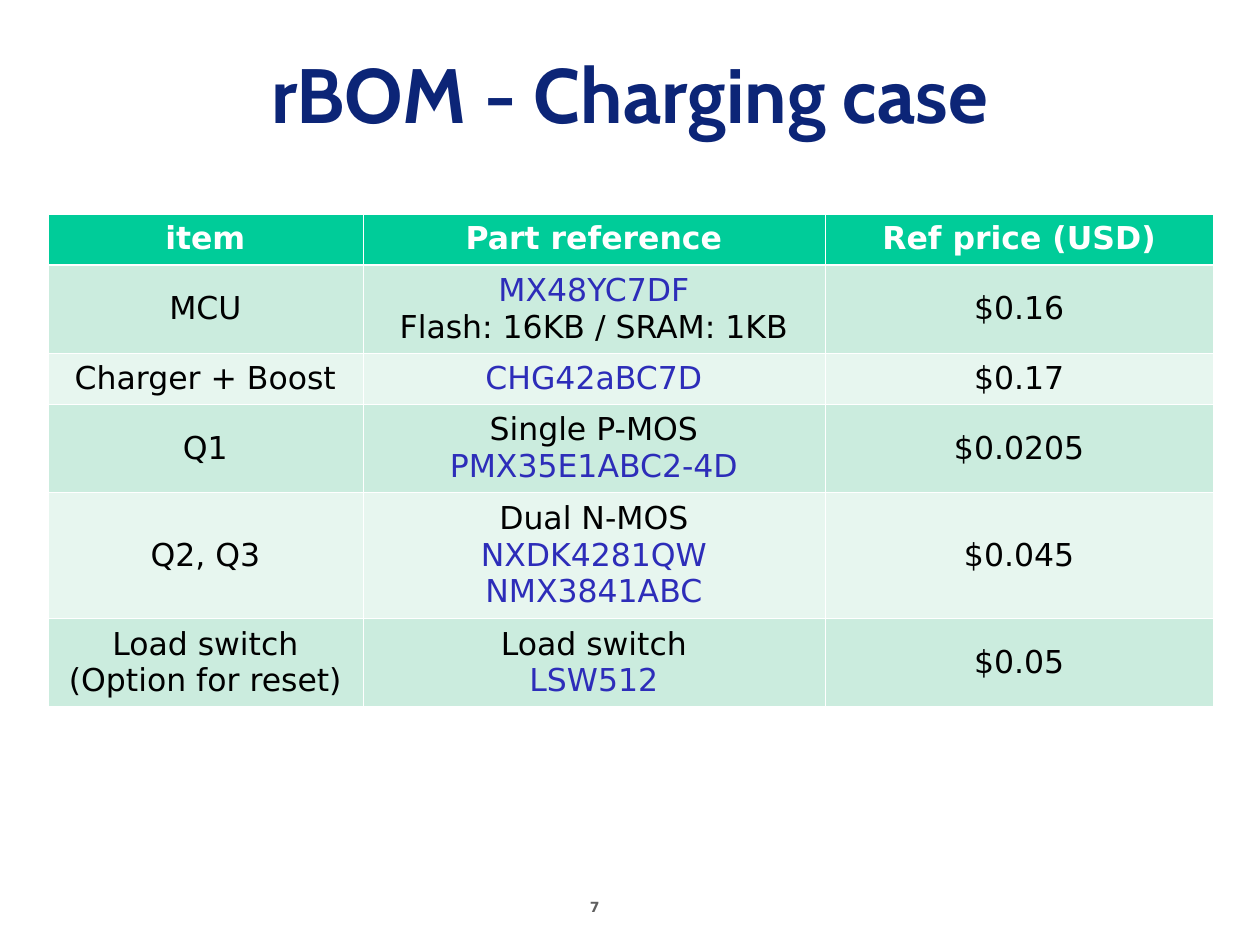
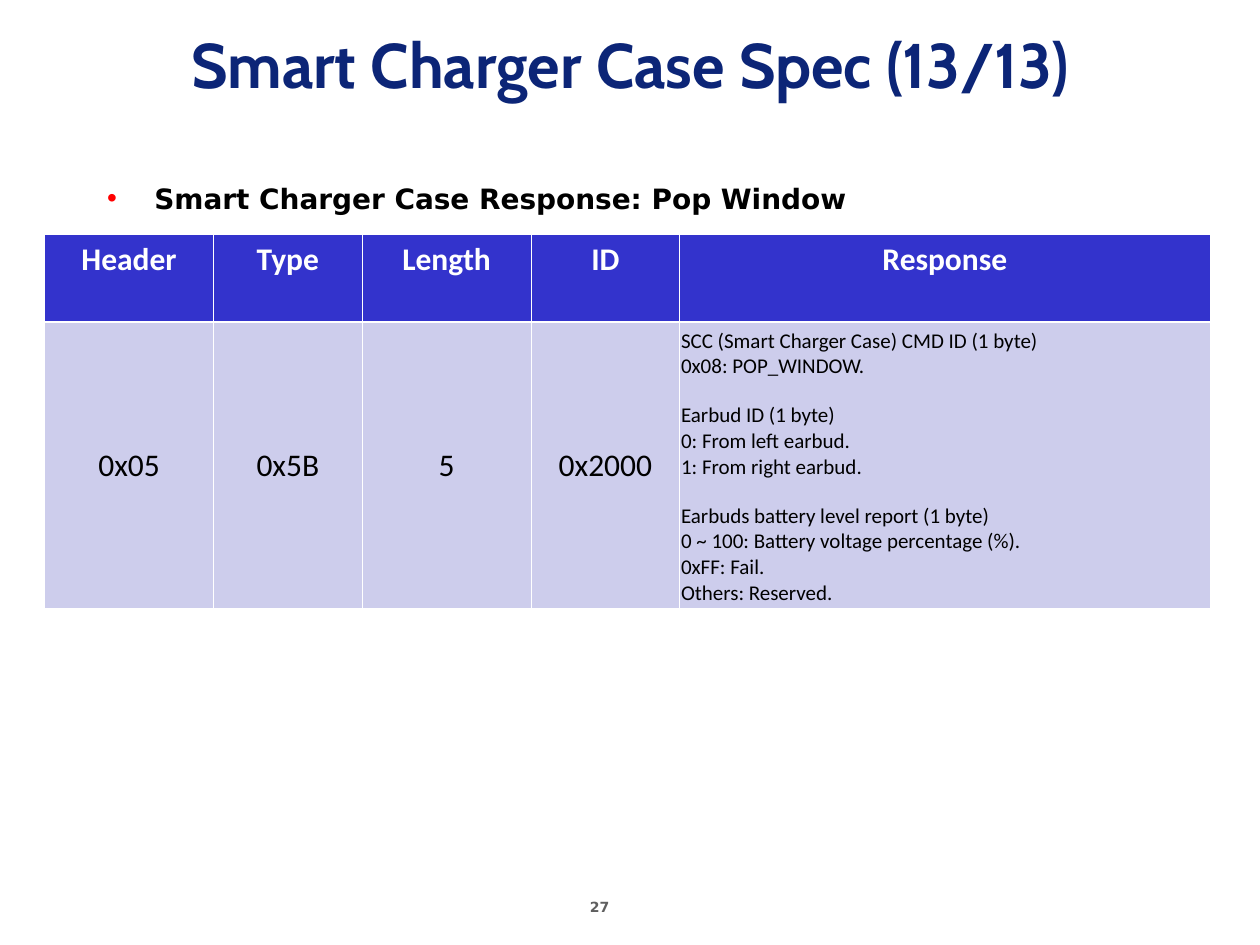
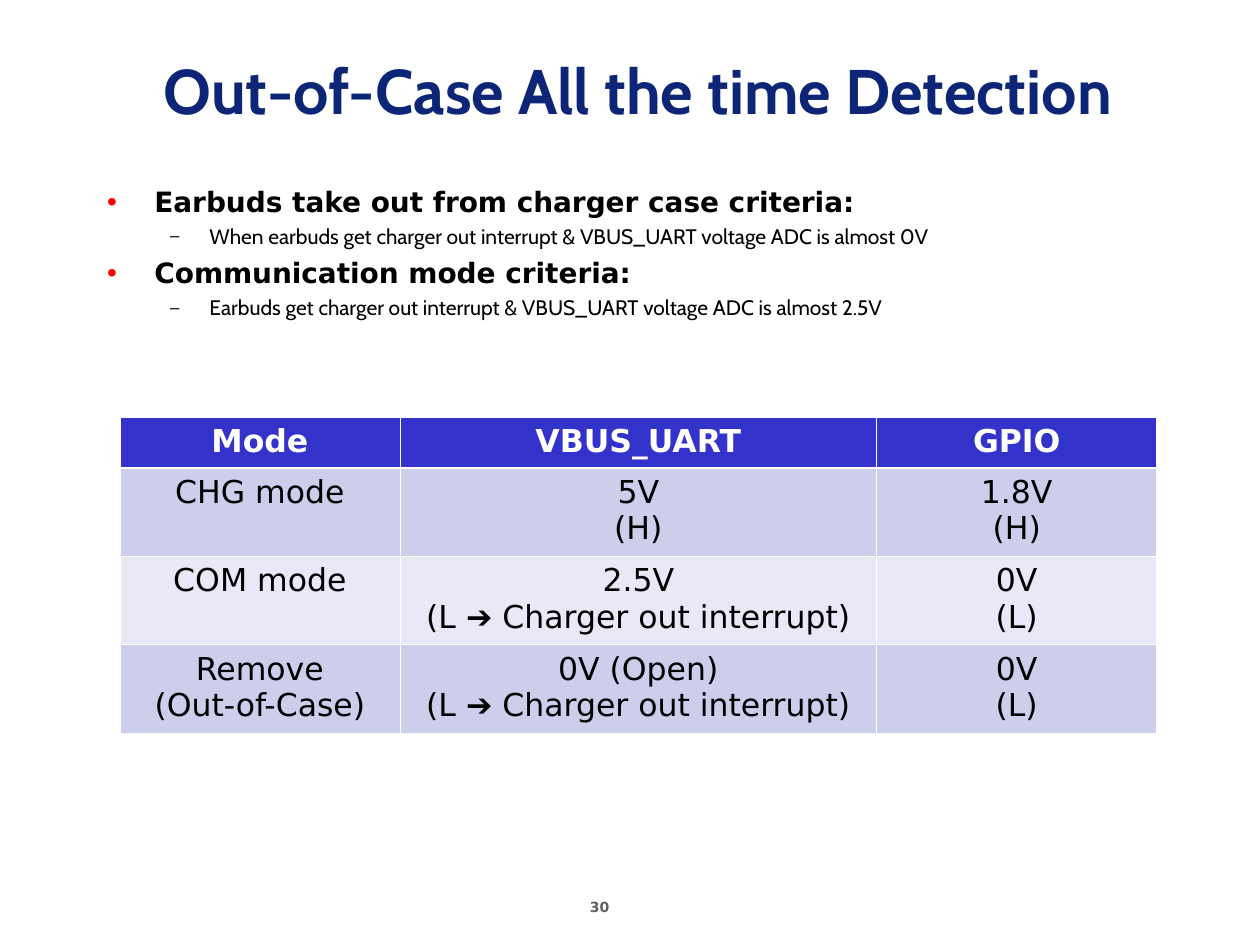
from dataclasses import dataclass

from lxml.etree import SubElement
from pptx import Presentation
from pptx.dml.color import RGBColor
from pptx.enum.text import MSO_ANCHOR as Anchor, MSO_AUTO_SIZE as AutoSize, PP_ALIGN as Align
from pptx.oxml import parse_xml
from pptx.oxml.ns import nsdecls, qn
from pptx.util import Pt


# Shared look
@dataclass(frozen=True)
class Theme:
    navy: str = "0C2577"
    grey: str = "5F5F5F"
    black: str = "000000"
    white: str = "FFFFFF"
    red: str = "FF0000"
    part_blue: str = "2D2DB9"
    # Header, odd row and even row fills
    green_rows: tuple = ("00CC99", "CBECDE", "E7F6EF")
    blue_rows: tuple = ("3333CC", "CDCDEC", "E8E8F6")
    title_font: str = "Cabin"
    text_font: str = "DejaVu Sans"
    value_font: str = "Calibri"
    arrow_font: str = "Arial"
    big_title: float = 44
    title: float = 36
    cell: float = 18
    bullet: float = 16
    detail: float = 12
    page: float = 8
    thin_border: float = 0.45
    header_border: float = 1.47


ARROW = "➔"


class Deck:
    def __init__(self, theme):
        self.theme = theme
        self.prs = Presentation()
        self.prs.slide_width, self.prs.slide_height = Pt(720), Pt(540)
        self.slide = None

    # Start a slide with its title and page number
    def start(self, heading, box, page, size, layout):
        self.slide = self.prs.slides.add_slide(self.prs.slide_layouts.get_by_name(layout))
        title = self.slide.shapes.title
        self.place(title, box)
        frame = title.text_frame
        frame.text = heading
        frame.auto_size = AutoSize.NONE
        frame.vertical_anchor = Anchor.MIDDLE
        frame.paragraphs[0].alignment = Align.CENTER
        self.style(frame.paragraphs[0], size, self.theme.title_font, self.theme.navy, True)

        number = self.slide.shapes.add_textbox(Pt(330), Pt(510), Pt(55), Pt(19)).text_frame
        number.word_wrap = True
        number.text = page
        self.style(number.paragraphs[0], self.theme.page, self.theme.text_font, self.theme.grey, True)

    def place(self, shape, box):
        shape.left, shape.top, shape.width, shape.height = map(Pt, box)

    def style(self, paragraph, size, font, color, bold=False):
        for run in paragraph.runs:
            run.font.size = Pt(size)
            run.font.name = font
            run.font.bold = bold
            run.font.color.rgb = RGBColor.from_string(color)

    # Two-level list in the body placeholder
    def bullets(self, top, items):
        theme = self.theme
        body = self.slide.placeholders[1]
        self.place(body, (54, top, 666, 372))
        frame = body.text_frame
        frame.text = "\n".join(text for _, text in items)
        frame.auto_size = AutoSize.NONE
        for index, (paragraph, (level, _)) in enumerate(zip(frame.paragraphs, items)):
            paragraph.level = level
            if level == 0:
                self.bullet(paragraph, "•", theme.red, 100, 27, 27)
                self.style(paragraph, theme.bullet, theme.text_font, theme.black, True)
            else:
                self.bullet(paragraph, "–", theme.black, 80, 58.5, 22.5)
                self.style(paragraph, theme.detail, theme.title_font, theme.black)
            paragraph.space_before = Pt(4 - level if index else 0)

    def bullet(self, paragraph, mark, color, percent, margin, hanging):
        props = paragraph._p.get_or_add_pPr()
        props.set("marL", str(Pt(margin)))
        props.set("indent", str(-Pt(hanging)))
        SubElement(SubElement(props, qn("a:buClr")), qn("a:srgbClr")).set("val", color)
        SubElement(props, qn("a:buSzPct")).set("val", str(percent * 1000))
        SubElement(props, qn("a:buChar")).set("char", mark)

    # Table with a header row and alternating row fills
    def table(self, left, top, widths, heights, rows, fills, anchor=Anchor.MIDDLE,
              font=None, side_margin=7.2, parts=()):
        theme = self.theme
        grid = self.slide.shapes.add_table(
            len(rows), len(widths), Pt(left), Pt(top), Pt(sum(widths)), Pt(sum(heights))).table
        grid.first_row = grid.horz_banding = False
        for column, width in zip(grid.columns, widths):
            column.width = Pt(width)
        for row, height in zip(grid.rows, heights):
            row.height = Pt(height)
        for r, texts in enumerate(rows):
            header = r == 0
            for c, text in enumerate(texts):
                cell = grid.cell(r, c)
                cell.text_frame.text = text
                cell.vertical_anchor = Anchor.TOP if header else anchor
                cell.margin_left = cell.margin_right = Pt(7.2 if header else side_margin)
                cell.fill.solid()
                cell.fill.fore_color.rgb = RGBColor.from_string(fills[0 if header else 2 - r % 2])
                self.borders(cell, r)
                for line in cell.text_frame.paragraphs:
                    line.alignment = Align.CENTER
                    self.cell_line(line, header, font or theme.text_font, parts)
        return grid

    def cell_line(self, line, header, font, parts):
        theme = self.theme
        if header:
            color = theme.white
        else:
            color = theme.part_blue if line.text in parts else theme.black
        pieces = line.text.partition(ARROW)
        if pieces[1]:
            line.clear()
            for piece in pieces:
                line.add_run().text = piece
        self.style(line, theme.cell, font, color, header)
        for run in line.runs:
            if run.text == ARROW:
                run.font.name = theme.arrow_font

    def borders(self, cell, row):
        theme = self.theme
        widths = {"L": theme.thin_border, "R": theme.thin_border,
                  "T": theme.header_border if row == 1 else theme.thin_border,
                  "B": theme.header_border if row == 0 else theme.thin_border}
        props = cell._tc.get_or_add_tcPr()
        for index, (side, width) in enumerate(widths.items()):
            props.insert(index, parse_xml(
                f'<a:ln{side} {nsdecls("a")} w="{Pt(width)}"><a:solidFill>'
                f'<a:srgbClr val="{theme.white}"/></a:solidFill></a:ln{side}>'))

    # Left-aligned small text in groups, set apart by space before each group
    def grouped_cell(self, cell, groups, gap):
        cell.text_frame.text = "\n".join(line for group in groups for line in group)
        lines = iter(cell.text_frame.paragraphs)
        for g, group in enumerate(groups):
            for n in range(len(group)):
                line = next(lines)
                line.alignment = Align.LEFT
                line.space_before = Pt(gap if g and n == 0 else 0)
                self.style(line, self.theme.detail, self.theme.value_font, self.theme.black)


def charging_case_parts(deck):
    theme = deck.theme
    deck.start("rBOM - Charging case", (0, 0, 720, 106), "7", theme.big_title, "Title Only")
    mcu, charger, p_mos = "MX48YC7DF", "CHG42aBC7D", "PMX35E1ABC2-4D"
    n_mos, n_mos_alternative, load_switch = "NXDK4281QW", "NMX3841ABC", "LSW512"
    deck.table(
        27.36, 122.5, (180, 264, 222), (28.8, 50.5, 29, 50.5, 72, 50.5),
        [("item", "Part reference", "Ref price (USD)"),
         ("MCU", f"{mcu}\nFlash: 16KB / SRAM: 1KB", "$0.16"),
         ("Charger + Boost", charger, "$0.17"),
         ("Q1", f"Single P-MOS\n{p_mos}", "$0.0205"),
         ("Q2, Q3", f"Dual N-MOS\n{n_mos}\n{n_mos_alternative}", "$0.045"),
         ("Load switch\n(Option for reset)", f"Load switch\n{load_switch}", "$0.05")],
        theme.green_rows,
        parts=(mcu, charger, p_mos, n_mos, n_mos_alternative, load_switch))


def pop_window_response(deck):
    theme = deck.theme
    deck.start("Smart Charger Case Spec (13/13)", (0, 0, 720, 72), "27", theme.title,
               "Title and Content")
    deck.bullets(100, [(0, "Smart Charger Case Response: Pop Window")])
    packet = deck.table(
        25.5, 134, (96.5, 85, 96.5, 85, 303), (50, 159),
        [("Header", "Type", "Length", "ID", "Response"),
         ("0x05", "0x5B", "5", "0x2000", "")],
        theme.blue_rows, font=theme.value_font, side_margin=0.72)
    deck.grouped_cell(packet.cell(1, 4), [
        ("SCC (Smart Charger Case) CMD ID (1 byte)", "0x08: POP_WINDOW."),
        ("Earbud ID (1 byte)", "0: From left earbud.", "1: From right earbud."),
        ("Earbuds battery level report (1 byte)", "0 ~ 100: Battery voltage percentage (%).",
         "0xFF: Fail.", "Others: Reserved."),
    ], gap=13.5)


def out_of_case_detection(deck):
    theme = deck.theme
    deck.start("Out-of-Case All the time Detection", (4.5, 15, 720, 72), "30", theme.title,
               "Title and Content")
    deck.bullets(102, [
        (0, "Earbuds take out from charger case criteria:"),
        (1, "When earbuds get charger out interrupt & VBUS_UART voltage ADC is almost 0V"),
        (0, "Communication mode criteria:"),
        (1, "Earbuds get charger out interrupt & VBUS_UART voltage ADC is almost 2.5V"),
    ])
    interrupt = f"(L {ARROW} Charger out interrupt)"
    deck.table(
        68.5, 238.5, (160, 272.5, 160), (28.8, 50.5, 50.5, 50.5),
        [("Mode", "VBUS_UART", "GPIO"),
         ("CHG mode", "5V\n(H)", "1.8V\n(H)"),
         ("COM mode", f"2.5V\n{interrupt}", "0V\n(L)"),
         ("Remove\n(Out-of-Case)", f"0V (Open)\n{interrupt}", "0V\n(L)")],
        theme.blue_rows, anchor=Anchor.TOP)


def main():
    deck = Deck(Theme())
    charging_case_parts(deck)
    pop_window_response(deck)
    out_of_case_detection(deck)
    deck.prs.save("out.pptx")


if __name__ == "__main__":
    main()
